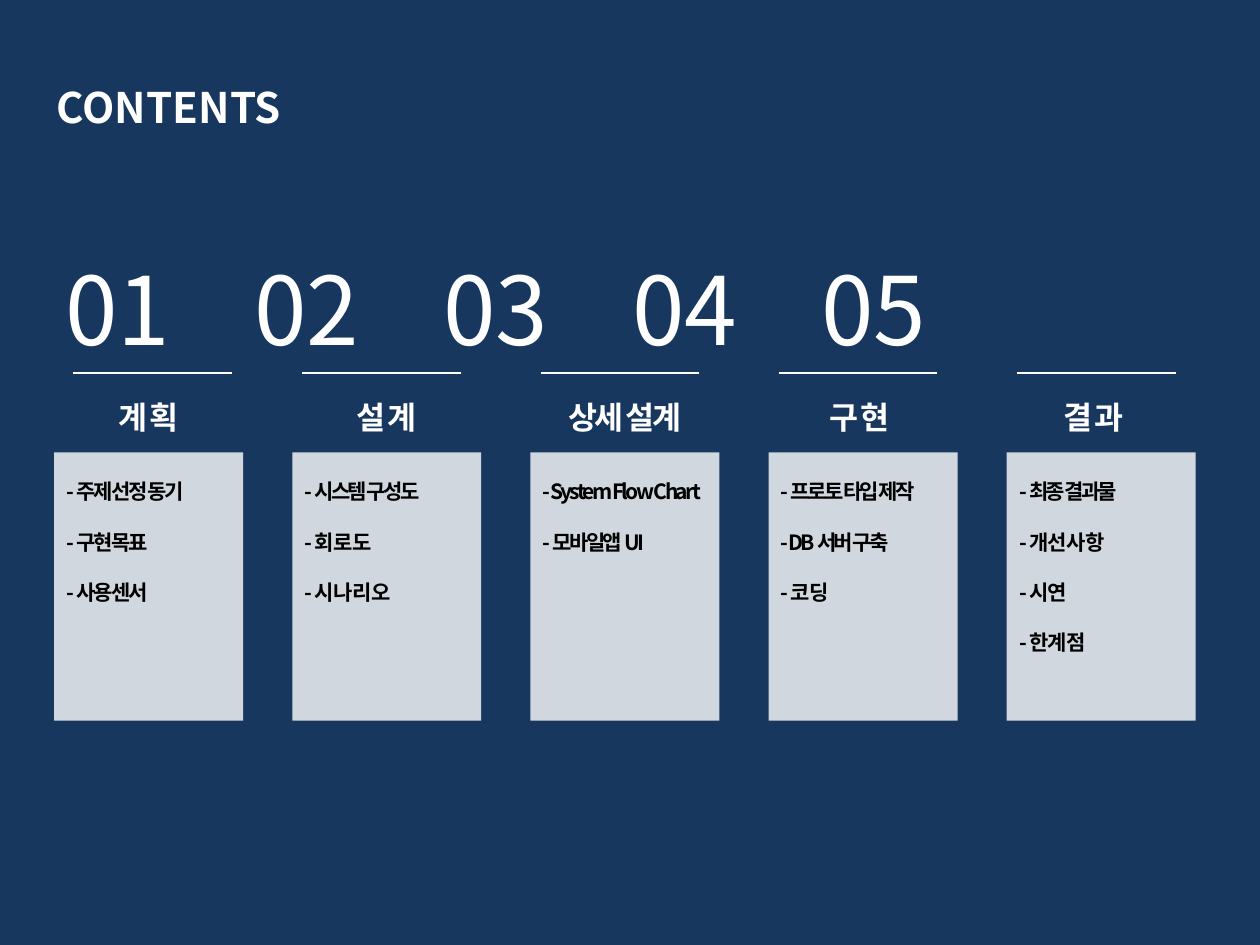
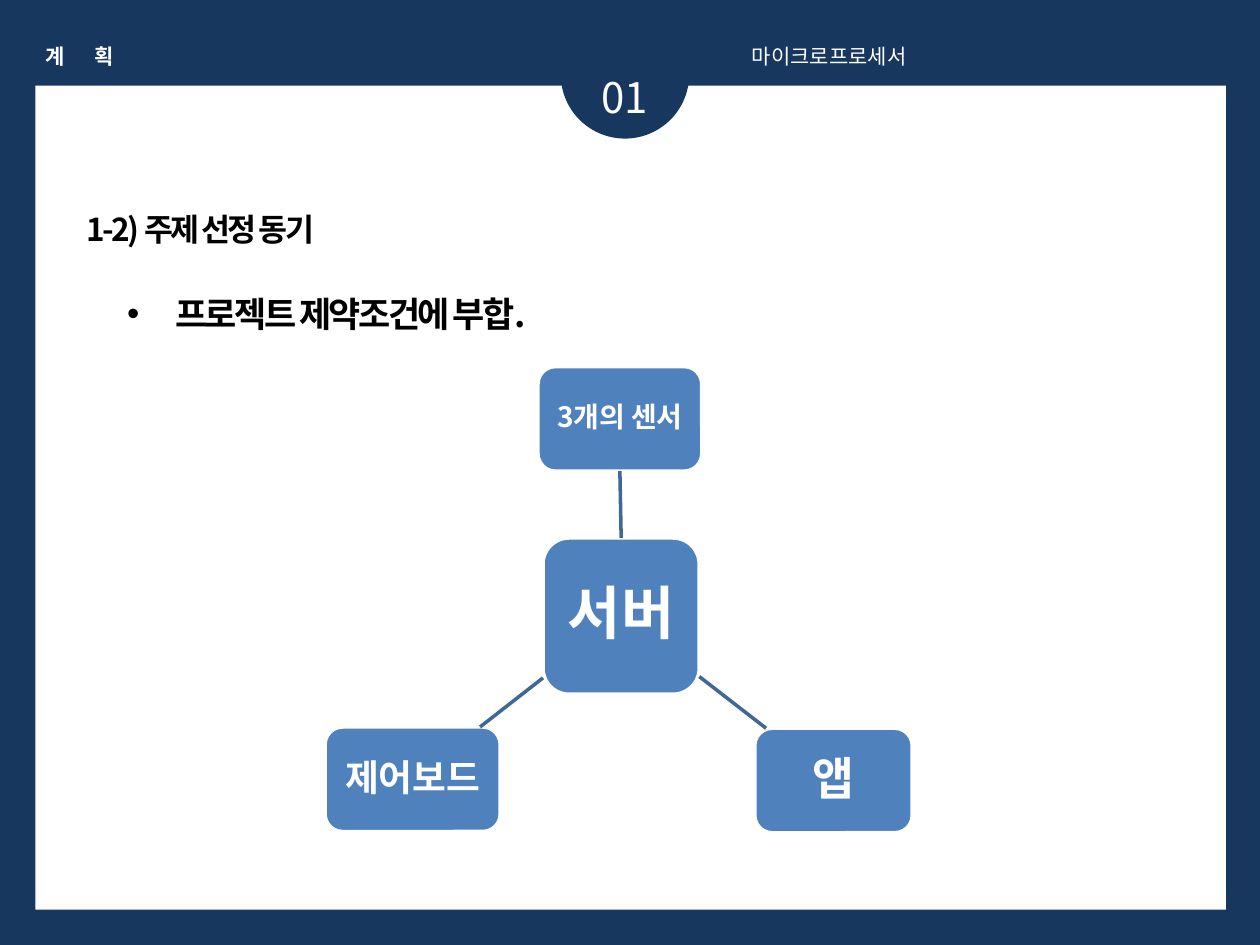
from dataclasses import dataclass

from lxml.etree import SubElement
from pptx import Presentation
from pptx.dml.color import RGBColor
from pptx.enum.shapes import MSO_CONNECTOR as CONNECTOR, MSO_SHAPE as SHAPE
from pptx.enum.text import MSO_ANCHOR as ANCHOR, PP_ALIGN as ALIGN
from pptx.oxml.ns import qn
from pptx.util import Inches, Pt


@dataclass(frozen=True)
class Theme:
    navy: str = "17375E"
    white: str = "FFFFFF"
    black: str = "000000"
    node: str = "4F81BD"
    link: str = "3F6797"
    font: str = "Noto Sans CJK KR"
    heading_font: str = "Arial"
    numeral: int = 54
    title: int = 24
    point: int = 20
    heading: int = 18
    small: int = 12
    list_gap: float = 14.4
    tight: int = -150
    card_alpha: int = 80000


THEME = Theme()

CHAPTERS = [
    ("계 획", 0, ["- 주제 선정 동기", "- 구현 목표", "- 사용 센서"]),
    ("설 계", 0, ["- 시스템 구성도", "- 회 로 도", "- 시 나 리 오"]),
    ("상세 설계", 0, ["- System Flow Chart", "- 모바일앱 UI"]),
    ("구 현", -0.03, ["- 프로토 타입 제작", "- DB 서버 구축", "- 코 딩"]),
    ("결 과", -0.06, ["- 최종 결과물", "- 개 선 사 항", "- 시 연", "- 한 계 점"]),
]


def style(paragraph, size, color, bold=False, spacing=0, font=THEME.font,
          align=ALIGN.LEFT):
    paragraph.alignment = align
    face = paragraph.font
    face.size = Pt(size)
    face.bold = bold
    face.name = font
    face.color.rgb = RGBColor.from_string(color)
    properties = paragraph._p.pPr.find(qn("a:defRPr"))
    if spacing:
        properties.set("spc", str(spacing))
    east_asian = SubElement(properties, qn("a:ea"))
    east_asian.set("typeface", THEME.font)


def place(holder, left, top, width, height):
    holder.left, holder.top = Inches(left), Inches(top)
    holder.width, holder.height = Inches(width), Inches(height)


def add_title(slide, text, box, size, color, spacing=0):
    title = slide.shapes.title
    place(title, *box)
    title.text_frame.text = text
    title.text_frame.vertical_anchor = ANCHOR.TOP
    style(title.text_frame.paragraphs[0], size, color, True, spacing)


def add_tabs(paragraph, stops):
    tab_list = SubElement(paragraph._p.get_or_add_pPr(), qn("a:tabLst"))
    for stop in stops:
        tab = SubElement(tab_list, qn("a:tab"))
        tab.set("pos", str(Inches(stop)))
        tab.set("algn", "l")


def add_label(slide, text, box, size, tabs=(), **look):
    label = slide.shapes.add_textbox(*map(Inches, box))
    label.text_frame.word_wrap = True
    label.text_frame.text = text
    paragraph = label.text_frame.paragraphs[0]
    if tabs:
        add_tabs(paragraph, tabs)
    style(paragraph, size, THEME.white, **look)


def add_block(slide, kind, box, fill, outline=None):
    block = slide.shapes.add_shape(kind, *map(Inches, box))
    block.shadow.inherit = False
    block.fill.solid()
    block.fill.fore_color.rgb = RGBColor.from_string(fill)
    if outline:
        block.line.color.rgb = RGBColor.from_string(outline)
        block.line.width = Pt(2)
    else:
        block.line.fill.background()
    return block


def add_line(slide, start, end, color, width):
    line = slide.shapes.add_connector(
        CONNECTOR.STRAIGHT, *map(Inches, (*start, *end)))
    line.line.color.rgb = RGBColor.from_string(color)
    line.line.width = Pt(width)
    SubElement(line._element.spPr, qn("a:effectLst"))
    return line


def add_card(slide, left, items):
    card = add_block(slide, SHAPE.RECTANGLE, (left, 3.59, 1.5, 2.13), THEME.white)
    color = card._element.spPr.find(qn("a:solidFill"))[0]
    SubElement(color, qn("a:alpha")).set("val", str(THEME.card_alpha))
    frame = card.text_frame
    frame.word_wrap = True
    frame.vertical_anchor = ANCHOR.TOP
    frame.margin_top = Inches(0.21)
    frame.text = "\n".join(items)
    for index, paragraph in enumerate(frame.paragraphs):
        if index:
            paragraph.space_before = Pt(THEME.list_gap)
        style(paragraph, THEME.small, THEME.black, True, THEME.tight)


def add_node(slide, text, box, size):
    node = add_block(slide, SHAPE.ROUNDED_RECTANGLE, box, THEME.node, THEME.white)
    frame = node.text_frame
    frame.word_wrap = True
    frame.vertical_anchor = ANCHOR.MIDDLE
    frame.margin_left = frame.margin_right = Inches(0.08)
    frame.text = text
    paragraph = frame.paragraphs[0]
    paragraph.line_spacing = 0.9
    style(paragraph, size, THEME.white, True, align=ALIGN.CENTER)
    return node


def add_point(slide, text, box):
    body = slide.placeholders[1]
    place(body, *box)
    body.text_frame.text = text
    body.text_frame.vertical_anchor = ANCHOR.TOP
    paragraph = body.text_frame.paragraphs[0]
    paragraph.line_spacing = 2.0
    paragraph.space_before = Pt(0)
    properties = paragraph._p.get_or_add_pPr()
    properties.set("marL", str(Inches(0.38)))
    properties.set("indent", str(Inches(-0.38)))
    SubElement(properties, qn("a:buFont")).set("typeface", "Arial")
    SubElement(properties, qn("a:buChar")).set("char", "•")
    style(paragraph, THEME.point, THEME.black, True, THEME.tight)


def build_contents(slide):
    add_title(slide, "CONTENTS", (0.35, 0.6, 4.57, 0.5), THEME.title, THEME.white)
    numerals = "\t".join(f"{n:02}" for n in range(1, len(CHAPTERS) + 1))
    add_label(slide, numerals, (0.42, 1.94, 9.29, 1.01), THEME.numeral,
              tabs=[1.5 * n for n in range(1, len(CHAPTERS))])
    for index, (heading, shift, items) in enumerate(CHAPTERS):
        left = 0.43 + 1.89 * index
        rule_left = left + (0.08 if index else 0.15)
        add_line(slide, (rule_left, 2.96), (rule_left + 1.26, 2.96),
                 THEME.white, 0.75)
        add_label(slide, heading, (left - 0.15 + shift, 3.11, 1.8, 0.4),
                  THEME.heading, bold=True, spacing=THEME.tight,
                  font=THEME.heading_font, align=ALIGN.CENTER)
        add_card(slide, left, items)


def add_chapter_frame(slide, chapter, number, course):
    add_block(slide, SHAPE.RECTANGLE, (0.28, 0.68, 9.45, 6.54), THEME.white)
    add_block(slide, SHAPE.OVAL, (4.45, 0.08, 1.02, 1.02), THEME.navy)
    add_label(slide, number, (4.37, 0.52, 1.18, 0.5), THEME.title,
              align=ALIGN.CENTER)
    add_label(slide, chapter, (0.26, 0.3, 1.02, 0.3), THEME.small, tabs=[0.39],
              bold=True, spacing=THEME.tight)
    add_label(slide, course, (5.87, 0.3, 3.94, 0.3), THEME.small)


def raise_to_front(slide, placeholders):
    for placeholder in placeholders:
        slide.shapes._spTree.append(placeholder._element)


def build_motivation(slide):
    add_chapter_frame(slide, "계\t획", "01", "마이크로프로세서")
    raise_to_front(slide, list(slide.placeholders))
    add_title(slide, "1-2) 주제 선정 동기", (0.59, 1.62, 7.4, 0.4),
              THEME.heading, THEME.black, THEME.tight)
    add_point(slide, "프로젝트 제약조건에 부합.", (0.91, 1.94, 8.5, 0.67))

    server = add_node(slide, "서버", (4.31, 4.27, 1.24, 1.24), 33)
    sensors = add_node(slide, "3개의 센서", (4.27, 2.91, 1.3, 0.83), 16)
    add_node(slide, "앱", (5.99, 5.78, 1.25, 0.83), 26)
    add_node(slide, "제어보드", (2.58, 5.77, 1.39, 0.83), 21)

    sensor_link = add_line(slide, (4.93, 4.27), (4.92, 3.74), THEME.link, 2)
    sensor_link.begin_connect(server, 0)
    sensor_link.end_connect(sensors, 2)
    add_line(slide, (5.55, 5.37), (6.08, 5.78), THEME.link, 2)
    add_line(slide, (4.31, 5.38), (3.81, 5.77), THEME.link, 2)


def main():
    deck = Presentation()
    deck.slide_width, deck.slide_height = Inches(10), Inches(7.5)
    background = deck.slide_master.background.fill
    background.solid()
    background.fore_color.rgb = RGBColor.from_string(THEME.navy)
    build_contents(deck.slides.add_slide(deck.slide_layouts[5]))
    build_motivation(deck.slides.add_slide(deck.slide_layouts[1]))
    deck.save("out.pptx")


if __name__ == "__main__":
    main()
